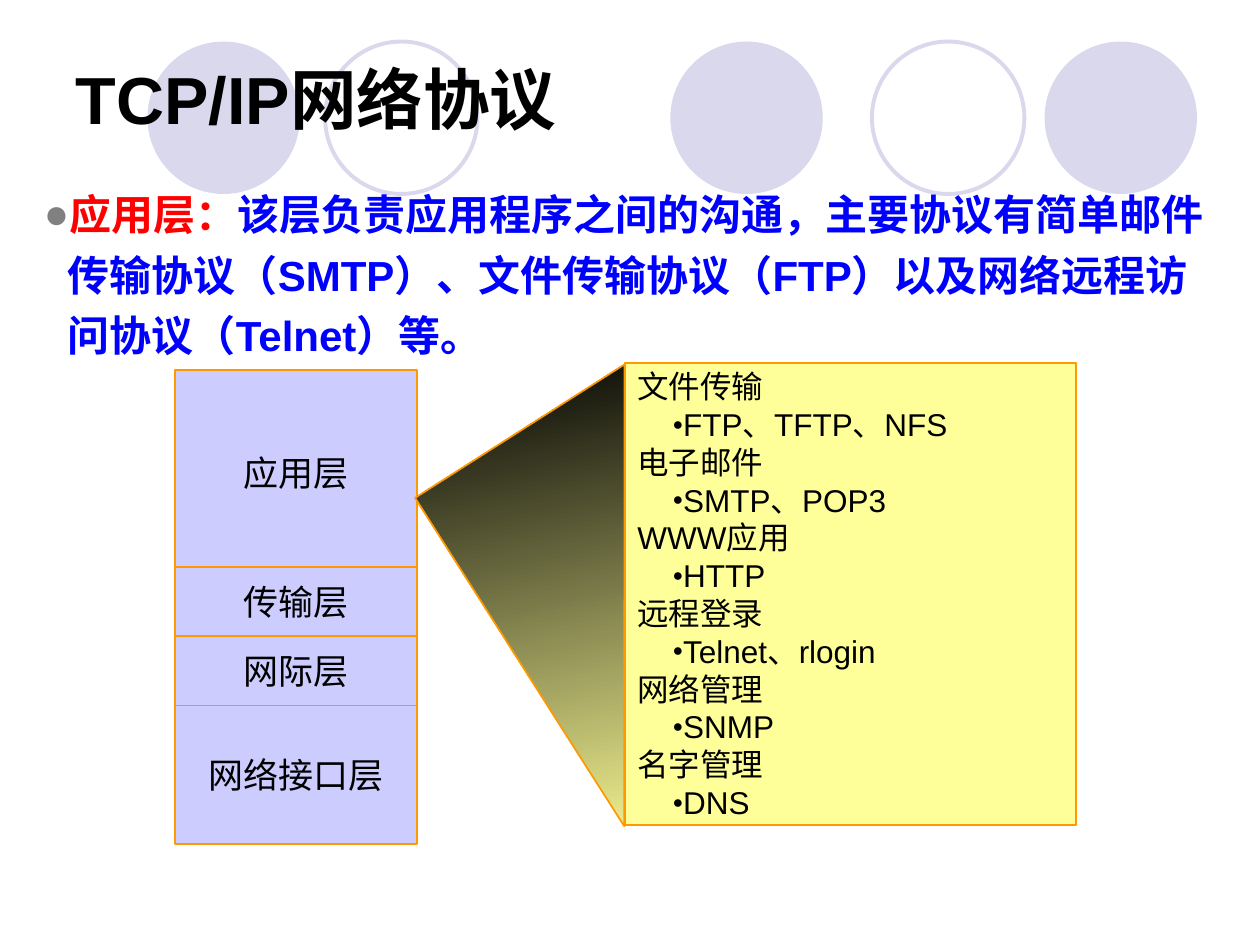
import pptx
import pptx.util
import pptx.dml.color
import pptx.enum.shapes
import pptx.enum.text
from lxml import etree

Inches, Pt = pptx.util.Inches, pptx.util.Pt
SHAPE = pptx.enum.shapes.MSO_SHAPE
ANCHOR = pptx.enum.text.MSO_ANCHOR
ALIGN = pptx.enum.text.PP_ALIGN
RGB = pptx.dml.color.RGBColor.from_string

THEME = {
    "font": "Arial",
    "black": "000000", "red": "FF0000", "blue": "0000FF", "bullet": "808080",
    "circle": "D9D8EC", "layer": "CCCCFF", "detail": "FFFF99", "edge": "FF9900",
    "title": 38, "body": 24, "label": 20, "item": 18,
}


def style(p, size, color="black", bold=False):
    for r in p.runs:
        r.font.name = THEME["font"]
        r.font.size = Pt(THEME[size])
        r.font.bold = bold
        r.font.color.rgb = RGB(THEME[color])


def bullet(p, indent, hang, percent, color):
    pPr = p._p.get_or_add_pPr()
    pPr.set("marL", str(Inches(indent)))
    pPr.set("indent", str(-Inches(hang)))
    ns = pptx.oxml.ns.qn("a:buClr")[:-len("buClr")]
    clr = etree.SubElement(pPr, ns + "buClr")
    etree.SubElement(clr, ns + "srgbClr", val=THEME[color])
    etree.SubElement(pPr, ns + "buSzPct", val=str(percent * 1000))
    etree.SubElement(pPr, ns + "buFont", typeface=THEME["font"])
    etree.SubElement(pPr, ns + "buChar", char="●")


prs = pptx.Presentation()
prs.slide_width, prs.slide_height = Inches(10), Inches(7.5)
s = prs.slides.add_slide(prs.slide_layouts[5])

# Background circles: left edge, filled or outlined
for left, filled in [(5.32, True), (8.29, True), (1.17, True),
                     (6.92, False), (2.58, False)]:
    sp = s.shapes.add_shape(SHAPE.OVAL, Inches(left), Inches(0.33),
                            Inches(1.21), Inches(1.21))
    sp.shadow.inherit = False
    if filled:
        sp.fill.solid()
        sp.fill.fore_color.rgb = RGB(THEME["circle"])
        sp.line.fill.background()
    else:
        sp.fill.background()
        sp.line.color.rgb = RGB(THEME["circle"])
        sp.line.width = Pt(2.25)

# Title, brought in front of the circles
title = s.shapes.title
s.shapes._spTree.append(title._element)
title.left, title.top = Inches(0.5), Inches(0.3)
title.width, title.height = Inches(9), Inches(0.95)
tf = title.text_frame
tf.text = "TCP/IP网络协议"
tf.vertical_anchor = ANCHOR.MIDDLE
tf.paragraphs[0].alignment = ALIGN.LEFT
style(tf.paragraphs[0], "title", bold=True)

# Description of the application layer
tf = s.shapes.add_textbox(Inches(0.25), Inches(1.37), Inches(9.58), Inches(1.5)).text_frame
tf.word_wrap = True
p = tf.paragraphs[0]
p.line_spacing = 1.2
bullet(p, 0.19, 0.19, 100, "bullet")
p.add_run().text = "应用层："
p.add_run().text = ("该层负责应用程序之间的沟通，主要协议有简单邮件传输协议（SMTP）、"
                    "文件传输协议（FTP）以及网络远程访问协议（Telnet）等。")
style(p, "body", "blue", bold=True)
p.runs[0].font.color.rgb = RGB(THEME["red"])

# Protocol stack: first row and number of rows, counted from the transport layer
STACK_TOP, ROW = 4.5, 0.55
layers = [("应用层", -2.84, 2.95), ("传输层", 0, 1), ("网络接口层", 2, 2), ("网际层", 1, 1)]
boxes = [(name, "layer", 1.39, STACK_TOP + row * ROW, 1.92, rows * ROW)
         for name, row, rows in layers]
boxes.append(("", "detail", 4.96, 2.88, 3.58, 3.67))
for name, fill, left, top, width, height in boxes:
    sp = s.shapes.add_shape(SHAPE.RECTANGLE, Inches(left), Inches(top),
                            Inches(width), Inches(height))
    sp.shadow.inherit = False
    sp.fill.solid()
    sp.fill.fore_color.rgb = RGB(THEME[fill])
    sp.line.color.rgb = RGB(THEME["edge"])
    sp.line.width = Pt(1)
    tf = sp.text_frame
    tf.word_wrap = False
    tf.vertical_anchor = ANCHOR.MIDDLE
    tf.text = name
    tf.paragraphs[0].alignment = ALIGN.CENTER
    style(tf.paragraphs[0], "label")

# Services and their protocols, in the last box
services = [("文件传输", "FTP、TFTP、NFS"), ("电子邮件", "SMTP、POP3"), ("WWW应用", "HTTP"),
            ("远程登录", "Telnet、rlogin"), ("网络管理", "SNMP"), ("名字管理", "DNS")]
for i, (service, protocols) in enumerate(services):
    p = tf.add_paragraph() if i else tf.paragraphs[0]
    p.text = service
    p.alignment = ALIGN.LEFT
    style(p, "item")
    p = tf.add_paragraph()
    p.text = protocols
    p.alignment = ALIGN.LEFT
    bullet(p, 0.36, 0.08, 56, "black")
    style(p, "item")

# Wedge that opens from the application layer to its services
sp = s.shapes.add_shape(SHAPE.RIGHT_TRIANGLE, Inches(3.41), Inches(3.74),
                        Inches(3.09), Inches(1.97))
sp.shadow.inherit = False
sp.rotation = 57.5
sp.fill.gradient()
sp.fill.gradient_angle = 102
for stop, color, position in zip(sp.fill.gradient_stops, ("detail", "black"), (0, 1)):
    stop.color.rgb = RGB(THEME[color])
    stop.position = position
sp._element.spPr.find(pptx.oxml.ns.qn("a:gradFill")).set("rotWithShape", "0")
sp.line.color.rgb = RGB(THEME["edge"])
sp.line.width = Pt(1)

prs.save("out.pptx")
